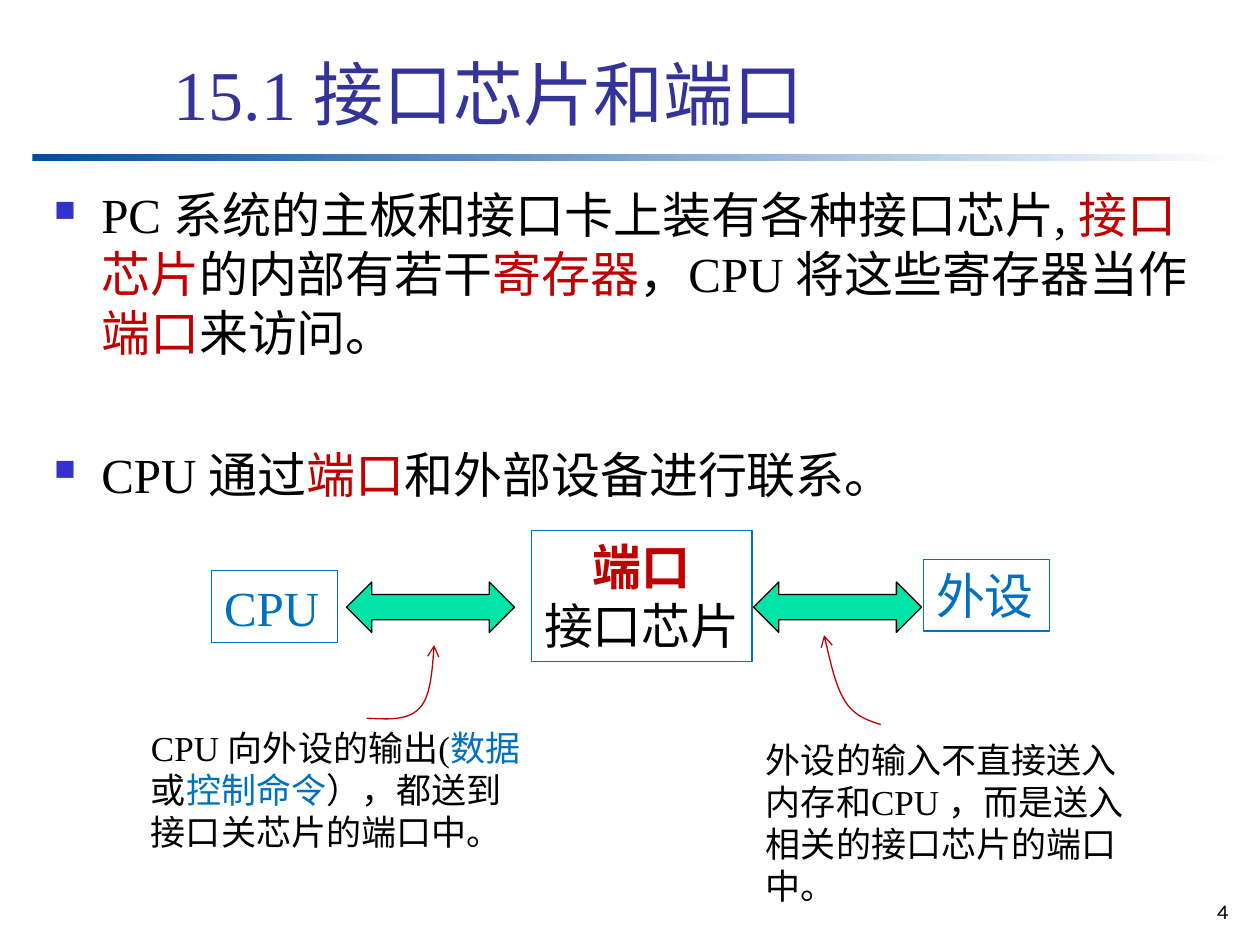
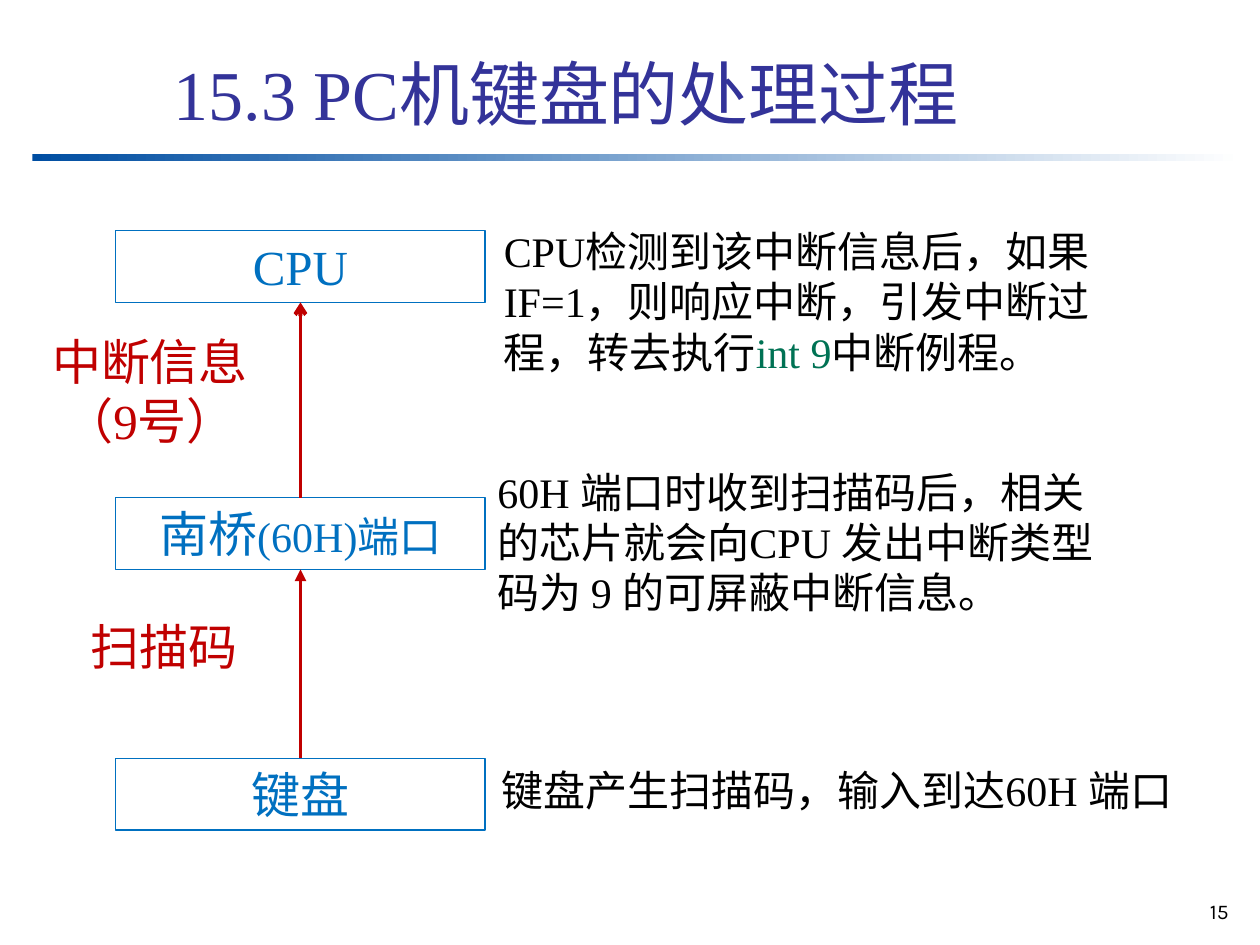
from lxml import etree
from pptx import Presentation
from pptx.dml.color import RGBColor
from pptx.enum import shapes, text
from pptx.oxml import ns
from pptx.util import Pt

BLACK = RGBColor(0x00, 0x00, 0x00)
WHITE = RGBColor(0xFF, 0xFF, 0xFF)
RED = RGBColor(0xC0, 0x00, 0x00)
BLUE = RGBColor(0x00, 0x70, 0xC0)
GREEN = RGBColor(0x00, 0x72, 0x54)
MINT = RGBColor(0x00, 0xE4, 0xA8)
TITLE_BLUE = RGBColor(0x33, 0x33, 0x99)
BAND_BLUE = RGBColor(0x00, 0x4E, 0xA2)
BULLET_BLUE = RGBColor(0x33, 0x33, 0xCC)

SERIF = "Times New Roman"
HAN = "Noto Sans CJK SC"
LEFT, CENTER, RIGHT = text.PP_ALIGN.LEFT, text.PP_ALIGN.CENTER, text.PP_ALIGN.RIGHT
TOP, BOTTOM = text.MSO_ANCHOR.TOP, text.MSO_ANCHOR.BOTTOM


def child(parent, tag, **attributes):
    return etree.SubElement(parent, ns.qn(tag), attributes)


def write(frame, paragraphs, size, color=BLACK, align=LEFT, anchor=TOP, font=SERIF):
    frame.word_wrap = True
    frame.vertical_anchor = anchor
    frame.margin_left = frame.margin_right = Pt(7.2)
    frame.margin_top = frame.margin_bottom = Pt(3.6)
    for index, pieces in enumerate(paragraphs):
        paragraph = frame.add_paragraph() if index else frame.paragraphs[0]
        paragraph.alignment = align
        for piece in pieces:
            wording, style = (piece, {}) if isinstance(piece, str) else piece
            run = paragraph.add_run()
            run.text = wording
            run.font.name = font
            run.font.size = Pt(style.get("size", size))
            run.font.bold = style.get("bold", False)
            run.font.color.rgb = style.get("color", color)
            child(run._r.get_or_add_rPr(), "a:ea", typeface=HAN)


def add_text(slide, area, paragraphs, size, **style):
    label = slide.shapes.add_textbox(*map(Pt, area))
    write(label.text_frame, paragraphs, size, **style)
    return label


def add_preset(slide, kind, area, line=None):
    preset = slide.shapes.add_shape(kind, *map(Pt, area))
    preset.shadow.inherit = False
    preset.fill.background()
    if line is None:
        preset.line.fill.background()
    else:
        preset.line.color.rgb = line
        preset.line.width = Pt(0.75)
    return preset


def add_box(slide, area, paragraphs, align=CENTER):
    box = add_preset(slide, shapes.MSO_SHAPE.RECTANGLE, area, BLUE)
    write(box.text_frame, paragraphs, 28, BLUE, align)
    return box


def add_double_arrow(slide, left):
    arrow = add_preset(slide, shapes.MSO_SHAPE.LEFT_RIGHT_ARROW,
                       (left, 332.6, 96, 28.8), BLACK)
    arrow.fill.solid()
    arrow.fill.fore_color.rgb = MINT


def draw_red_line(stroke, width, head):
    stroke.line.color.rgb = RED
    stroke.line.width = Pt(width)
    child(stroke._element.spPr.get_or_add_ln(), "a:tailEnd", type=head)


def add_flow(slide, source, target, head):
    flow = slide.shapes.add_connector(shapes.MSO_CONNECTOR.STRAIGHT, 0, 0, 0, 0)
    flow.begin_connect(source, 0)
    flow.end_connect(target, 2)
    draw_red_line(flow, 2.25, head)
    child(flow._element.spPr, "a:effectLst")


def bezier(controls, t):
    weights = ((1 - t) ** 3, 3 * t * (1 - t) ** 2, 3 * t * t * (1 - t), t ** 3)
    return tuple(Pt(sum(w * point[axis] for w, point in zip(weights, controls)))
                 for axis in (0, 1))


def add_pointer(slide, points, steps=12):
    curve = [bezier(points[start:start + 4], step / steps)
             for start in range(0, len(points) - 1, 3)
             for step in range(1, steps + 1)]
    builder = slide.shapes.build_freeform(*map(Pt, points[0]))
    builder.add_line_segments(curve, close=False)
    pointer = builder.convert_to_shape()
    pointer.shadow.inherit = False
    pointer.fill.background()
    draw_red_line(pointer, 0.75, "arrow")


def add_bullets(slide, area, paragraphs, gaps):
    body = add_text(slide, area, paragraphs, 28)
    for paragraph, gap in zip(body.text_frame.paragraphs, gaps):
        paragraph.space_before = Pt(gap)
        properties = paragraph._p.get_or_add_pPr()
        properties.set("marL", str(Pt(27)))
        properties.set("indent", str(Pt(-27)))
        child(child(properties, "a:buClr"), "a:srgbClr", val=str(BULLET_BLUE))
        child(properties, "a:buSzPct", val="60000")
        child(properties, "a:buChar", char="■")


def add_page(deck, title, number):
    slide = deck.slides.add_slide(deck.slide_layouts[6])
    band = add_preset(slide, shapes.MSO_SHAPE.RECTANGLE, (18.6, 88.3, 691.2, 3.8))
    band.fill.gradient()
    band.fill.gradient_angle = 0
    for stop, color in zip(band.fill.gradient_stops, (BAND_BLUE, WHITE)):
        stop.color.rgb = color
    add_text(slide, (661, 510, 48.2, 23.8), [[number]], 12, align=RIGHT, font="Karla")
    add_text(slide, (92.2, 13, 613.4, 67.7), [[title]], 40,
             color=TITLE_BLUE, anchor=BOTTOM)
    return slide


def build_ports(deck):
    slide = add_page(deck, "15.1 接口芯片和端口", "4")
    red, blue = {"color": RED}, {"color": BLUE}
    add_bullets(slide, (23.8, 102.2, 681.1, 200), [
        ["PC 系统的主板和接口卡上装有各种接口芯片, ", ("接口芯片", red),
         "的内部有若干", ("寄存器", red), "，CPU 将这些寄存器当作",
         ("端口", red), "来访问。"],
        ["CPU 通过", ("端口", red), "和外部设备进行联系。"],
    ], gaps=(7, 47.5))

    add_box(slide, (527.8, 319.7, 72, 41), [["外设"]], LEFT)
    add_box(slide, (121, 326.2, 72, 41), [["CPU"]], LEFT)
    add_box(slide, (303.8, 303.1, 126, 74.9), [
        [("端口", {"color": RED, "bold": True})],
        [("接口芯片", {"color": BLACK})],
    ])
    for left in (198, 430.6):
        add_double_arrow(slide, left)

    add_text(slide, (79.2, 411.8, 228.2, 79.2), [
        ["CPU 向外设的输出(", ("数据", blue), "或", ("控制命令", blue),
         "），都送到接口关芯片的端口中。"]], 20)
    add_text(slide, (430.6, 418.3, 228.2, 103.7), [
        ["外设的输入不直接送入内存和CPU ，而是送入相关的接口芯片的端口中。"]], 20)
    add_pointer(slide, [(503.3, 414), (496, 411.8), (488.2, 409), (483.1, 401),
                        (477.4, 392.4), (474.5, 378), (470.9, 362.9)])
    add_pointer(slide, [(209.5, 410.4), (221.8, 411.1), (233.3, 411.8), (239.8, 404.6),
                        (246.2, 398.2), (247, 383), (248.1, 368.6)])


def build_keyboard(deck):
    slide = add_page(deck, "15.3 PC机键盘的处理过程", "15")
    stages = [
        (433.4, ["键盘"]),
        (284.4, ["南桥", ("(60H)端口", {"size": 24})]),
        (131.8, ["CPU"]),
    ]
    keyboard, bridge, cpu = [add_box(slide, (66.2, top, 211, 41), [label])
                             for top, label in stages]
    add_flow(slide, keyboard, bridge, "triangle")
    add_flow(slide, bridge, cpu, "arrow")

    signals = [
        ((39.6, 348.5, 108, 41), [["扫描码"]]),
        ((18, 185.8, 135.4, 108), [["中断信息"], ["（9号）"]]),
    ]
    for area, lines in signals:
        add_text(slide, area, lines, 28, color=RED, align=CENTER)

    explanations = [
        ((280.8, 125.3, 360, 93.6),
         ["CPU检测到该中断信息后，如果IF=1，则响应中断，引发中断过程，转去执行",
          ("int 9", {"color": GREEN}), "中断例程。"]),
        ((277.2, 262.8, 360, 93.6),
         ["60H 端口时收到扫描码后，相关的芯片就会向CPU 发出中断类型码为 9 的可屏蔽中断信息。"]),
        ((279.4, 433.4, 404.6, 64.8), ["键盘产生扫描码，输入到达60H 端口"]),
    ]
    for area, pieces in explanations:
        add_text(slide, area, [pieces], 24)


def main():
    deck = Presentation()
    deck.slide_width, deck.slide_height = Pt(720), Pt(540)
    build_ports(deck)
    build_keyboard(deck)
    deck.save("out.pptx")


if __name__ == "__main__":
    main()
